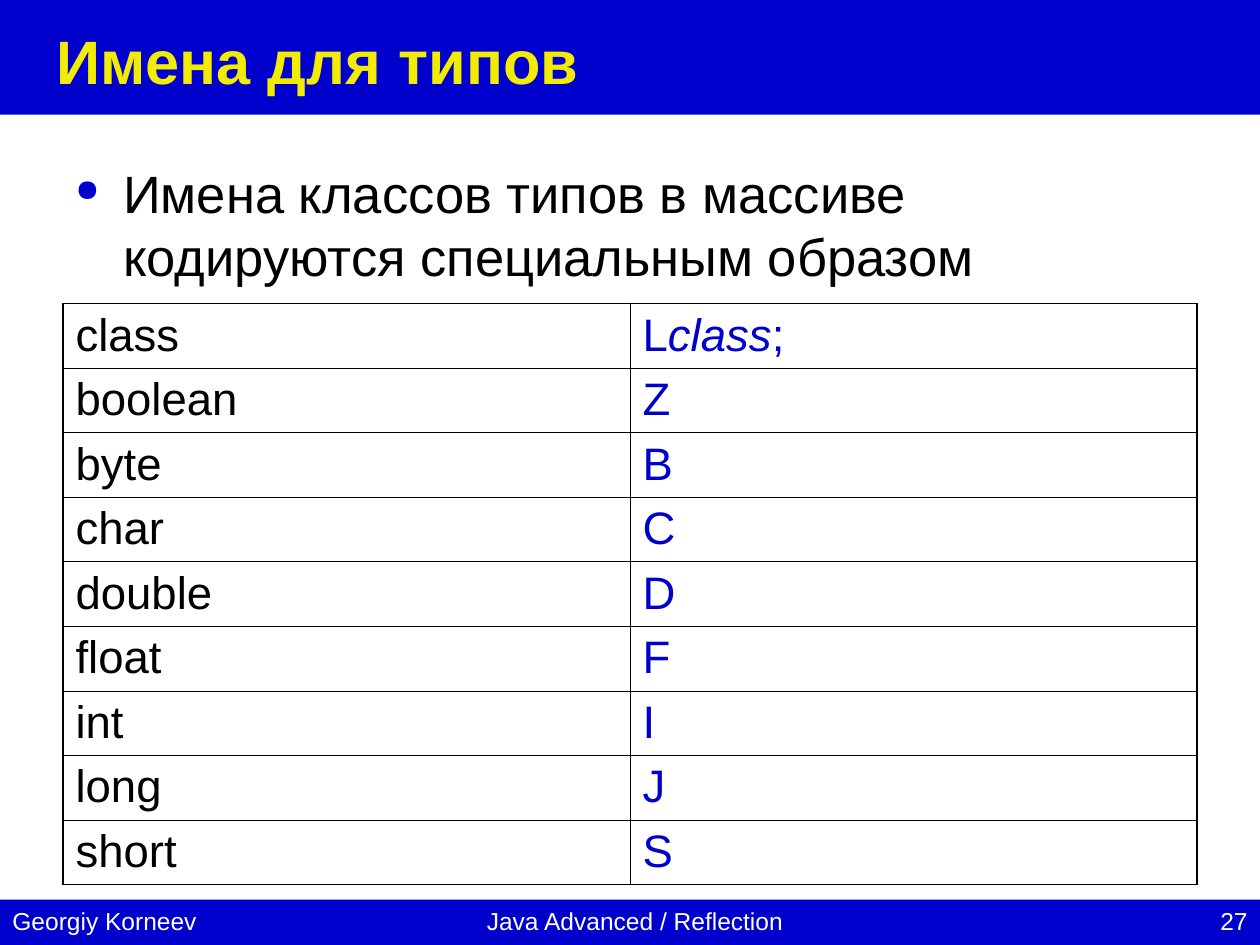
from dataclasses import dataclass
from lxml.etree import SubElement
from pptx import Presentation
from pptx.dml.color import RGBColor
from pptx.enum.shapes import MSO_SHAPE
from pptx.enum.text import MSO_ANCHOR, PP_ALIGN
from pptx.oxml.ns import qn
from pptx.util import Inches, Pt


@dataclass(frozen=True)
class Theme:
    font: str = "Arial"
    blue: str = "0000CC"
    yellow: str = "F2EC00"
    white: str = "FFFFFF"
    black: str = "000000"
    title: int = 35
    body: int = 30
    cell: int = 26
    foot: int = 14
    outer: float = 1.08
    inner: float = 0.45


class Deck:
    def __init__(self, theme, slide):
        self.theme = theme
        self.slide = slide

    def style(self, para, size, color, bold=False):
        font = para.font
        font.name = self.theme.font
        font.size = Pt(size)
        font.bold = bold
        font.color.rgb = RGBColor.from_string(color)

    def band(self, top, height):
        shape = self.slide.shapes.add_shape(
            MSO_SHAPE.RECTANGLE, 0, Inches(top), Inches(10), Inches(height))
        shape.shadow.inherit = False
        shape.fill.solid()
        shape.fill.fore_color.rgb = RGBColor.from_string(self.theme.blue)
        shape.line.fill.background()

    def text(self, text, box, size, color, align=PP_ALIGN.LEFT,
             bold=False, anchor=MSO_ANCHOR.TOP):
        shape = self.slide.shapes.add_textbox(*map(Inches, box))
        frame = shape.text_frame
        frame.word_wrap = True
        frame.vertical_anchor = anchor
        para = frame.paragraphs[0]
        para.text = text
        para.alignment = align
        self.style(para, size, color, bold)
        return para

    def bullet(self, text, box):
        para = self.text(text, box, self.theme.body, self.theme.black)
        props = para._p.get_or_add_pPr()
        props.set("marL", str(Inches(0.38)))
        props.set("indent", str(Inches(-0.38)))
        nodes = [SubElement(props, qn("a:buClr")),
                 SubElement(props, qn("a:buSzPct"), val="58000"),
                 SubElement(props, qn("a:buChar"), char="●")]
        SubElement(nodes[0], qn("a:srgbClr"), val=self.theme.blue)
        for spot, node in enumerate(nodes):
            props.insert(spot, node)

    def edge(self, cell, side, width):
        props = cell._tc.get_or_add_tcPr()
        line = SubElement(props, qn("a:" + side), w=str(Pt(width)))
        fill = SubElement(line, qn("a:solidFill"))
        SubElement(fill, qn("a:srgbClr"), val=self.theme.black)

    def table(self, rows, box):
        theme = self.theme
        count, width = len(rows), len(rows[0])
        grid = self.slide.shapes.add_table(
            count, width, *map(Inches, box)).table
        grid.first_row = grid.horz_banding = False
        for r, row in enumerate(rows):
            for c, parts in enumerate(row):
                cell = grid.cell(r, c)
                cell.margin_left = cell.margin_right = Inches(0.1)
                cell.margin_top = Inches(0.05)
                cell.margin_bottom = Inches(0.02)
                sides = {"lnL": c == 0, "lnR": c == width - 1,
                         "lnT": r == 0, "lnB": r == count - 1}
                for side, outer in sides.items():
                    self.edge(cell, side, theme.outer if outer else theme.inner)
                cell.fill.background()
                para = cell.text_frame.paragraphs[0]
                self.style(para, theme.cell, theme.blue if c else theme.black)
                for text, slant in parts:
                    run = para.add_run()
                    run.text = text
                    if slant:
                        run.font.italic = True


def main():
    show = Presentation()
    show.slide_width, show.slide_height = Inches(10), Inches(7.5)
    theme = Theme()
    deck = Deck(theme, show.slides.add_slide(show.slide_layouts[6]))

    deck.band(0, 0.91)
    deck.band(7.14, 0.36)
    footer = [("27", 9.1, 0.9, PP_ALIGN.RIGHT),
              ("Georgiy Korneev", 0, 4.02, PP_ALIGN.LEFT),
              ("Java Advanced / Reflection", 0.51, 9.06, PP_ALIGN.CENTER)]
    for text, left, width, align in footer:
        deck.text(text, (left, 7.14, width, 0.36), theme.foot, theme.white, align)

    deck.text("Имена для типов", (0.35, 0.13, 9.29, 0.7), theme.title,
              theme.yellow, bold=True, anchor=MSO_ANCHOR.MIDDLE)
    deck.bullet("Имена классов типов в массиве кодируются специальным образом",
                (0.5, 1.23, 9, 2.65))

    codes = {"boolean": "Z", "byte": "B", "char": "C", "double": "D",
             "float": "F", "int": "I", "long": "J", "short": "S"}
    rows = [([("class", False)],
             [("L", False), ("class", True), (";", False)])]
    rows += [([(name, False)], [(code, False)]) for name, code in codes.items()]
    deck.table(rows, (0.5, 2.41, 9, 4.61))

    show.save("out.pptx")


if __name__ == "__main__":
    main()
